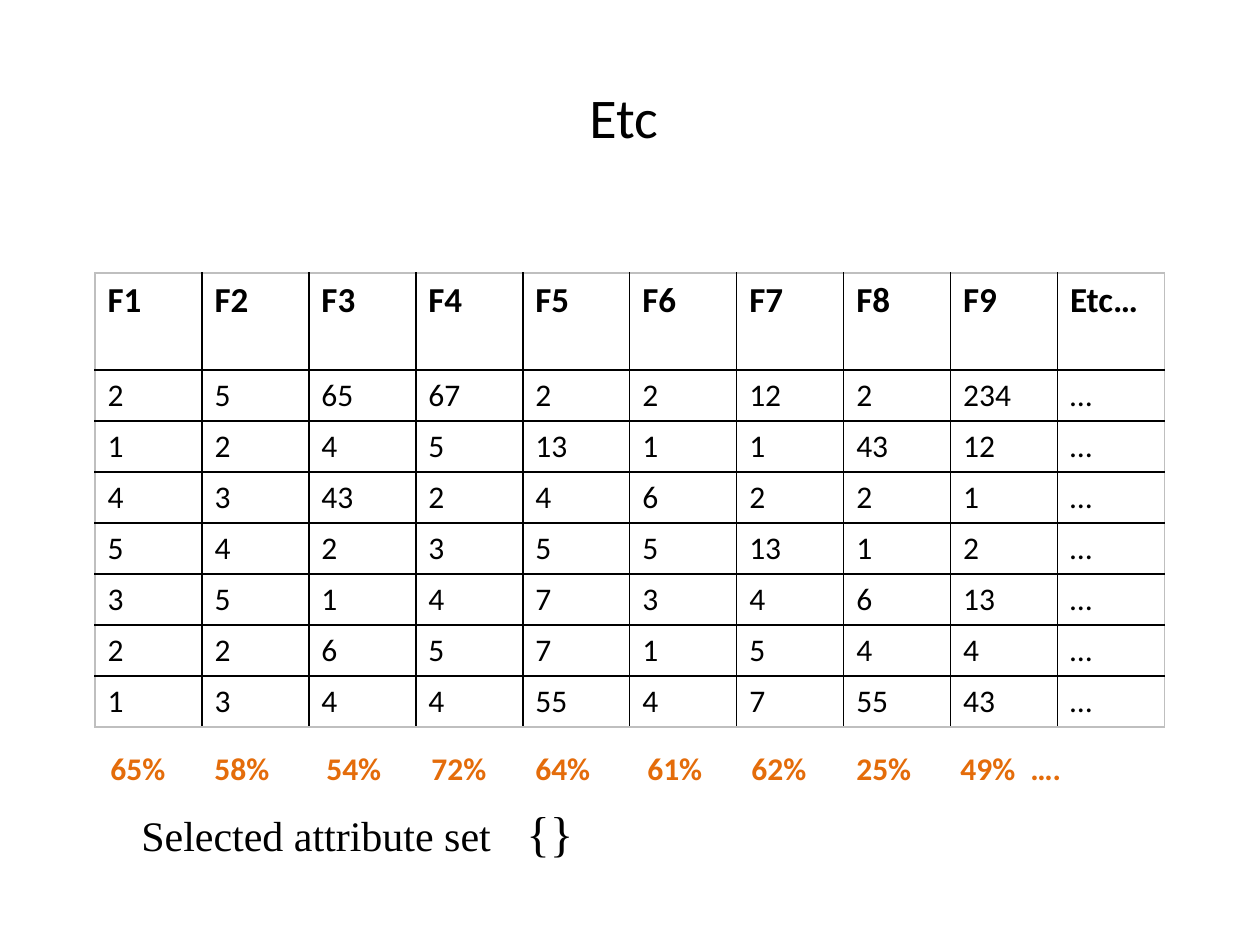
from lxml.etree import SubElement as Sub
from pptx import Presentation
from pptx.dml.color import RGBColor
from pptx.enum.text import MSO_ANCHOR as Anchor, PP_ALIGN as Align
from pptx.oxml.ns import qn
from pptx.util import Pt

# Content
HEAD = ["F1", "F2", "F3", "F4", "F5", "F6", "F7", "F8", "F9", "Etc…"]
ROWS = [
    [2, 5, 65, 67, 2, 2, 12, 2, 234],
    [1, 2, 4, 5, 13, 1, 1, 43, 12],
    [4, 3, 43, 2, 4, 6, 2, 2, 1],
    [5, 4, 2, 3, 5, 5, 13, 1, 2],
    [3, 5, 1, 4, 7, 3, 4, 6, 13],
    [2, 2, 6, 5, 7, 1, 5, 4, 4],
    [1, 3, 4, 4, 55, 4, 7, 55, 43],
]
RATES = ["65%", "58%", "54%", "72%", "64%", "61%", "62%", "25%", "49%", "…."]
STOPS = [104, 216, 321, 425, 537, 641, 746, 850, 920]
BLACK, GREY, ORANGE = "000000", "BFBFBF", "E46C0A"
SANS, SERIF = "Calibri", "Times New Roman"


def px(n):
    return n * 914400 // 126


def color(code):
    return RGBColor.from_string(code)


def add_run(para, text, size, font=SANS, code=BLACK, bold=False):
    run = para.add_run()
    run.text = text
    run.font.size = Pt(size)
    run.font.name = font
    run.font.bold = bold
    run.font.color.rgb = color(code)


def add_box(left, top, width, height):
    frame = slide.shapes.add_textbox(*map(px, (left, top, width, height))).text_frame
    frame.word_wrap = True
    return frame


def set_tabs(para, stops):
    tabs = Sub(para._p.get_or_add_pPr(), qn("a:tabLst"))
    for stop in stops:
        Sub(tabs, qn("a:tab"), pos=str(px(stop)), algn="l")


def set_edges(cell, edges):
    props = cell._tc.get_or_add_tcPr()
    for i, (side, code) in enumerate(edges):
        line = Sub(props, qn("a:ln" + side), w=str(Pt(1)))
        Sub(Sub(line, qn("a:solidFill")), qn("a:srgbClr"), val=code)
        props.insert(i, line)


deck = Presentation()
deck.slide_width, deck.slide_height = px(1260), px(945)
slide = deck.slides.add_slide(deck.slide_layouts[6])

# Title
title = add_box(63, 38, 1134, 157)
title.vertical_anchor = Anchor.MIDDLE
title.paragraphs[0].alignment = Align.CENTER
add_run(title.paragraphs[0], "Etc ", 32)

# Feature table, with a grey outer edge
data = [HEAD] + [row + ["…"] for row in ROWS]
tall, wide = len(data), len(HEAD)
high = [97] + [51] * len(ROWS)
table = slide.shapes.add_table(
    tall, wide, px(95), px(273), px(107 * wide), px(sum(high))).table
table.first_row = table.horz_banding = False
for col in table.columns:
    col.width = px(107)
for r, row in enumerate(data):
    table.rows[r].height = px(high[r])
    for c, value in enumerate(row):
        cell = table.cell(r, c)
        cell.fill.background()
        outer = {"L": c == 0, "R": c == wide - 1, "T": r == 0, "B": r == tall - 1}
        set_edges(cell, [(s, GREY if out else BLACK) for s, out in outer.items()])
        add_run(cell.text_frame.paragraphs[0], str(value),
                18 if r else 20, bold=r == 0)

# Selected set
chosen = add_box(129, 796, 470, 72).paragraphs[0]
set_tabs(chosen, [385])
add_run(chosen, "Selected attribute set\t", 24, SERIF)
add_run(chosen, "{}", 28, SERIF)

# Rate of each feature
rates = add_box(98, 743, 1119, 50).paragraphs[0]
set_tabs(rates, STOPS)
add_run(rates, "\t".join(RATES), 18, code=ORANGE, bold=True)

deck.save("out.pptx")
